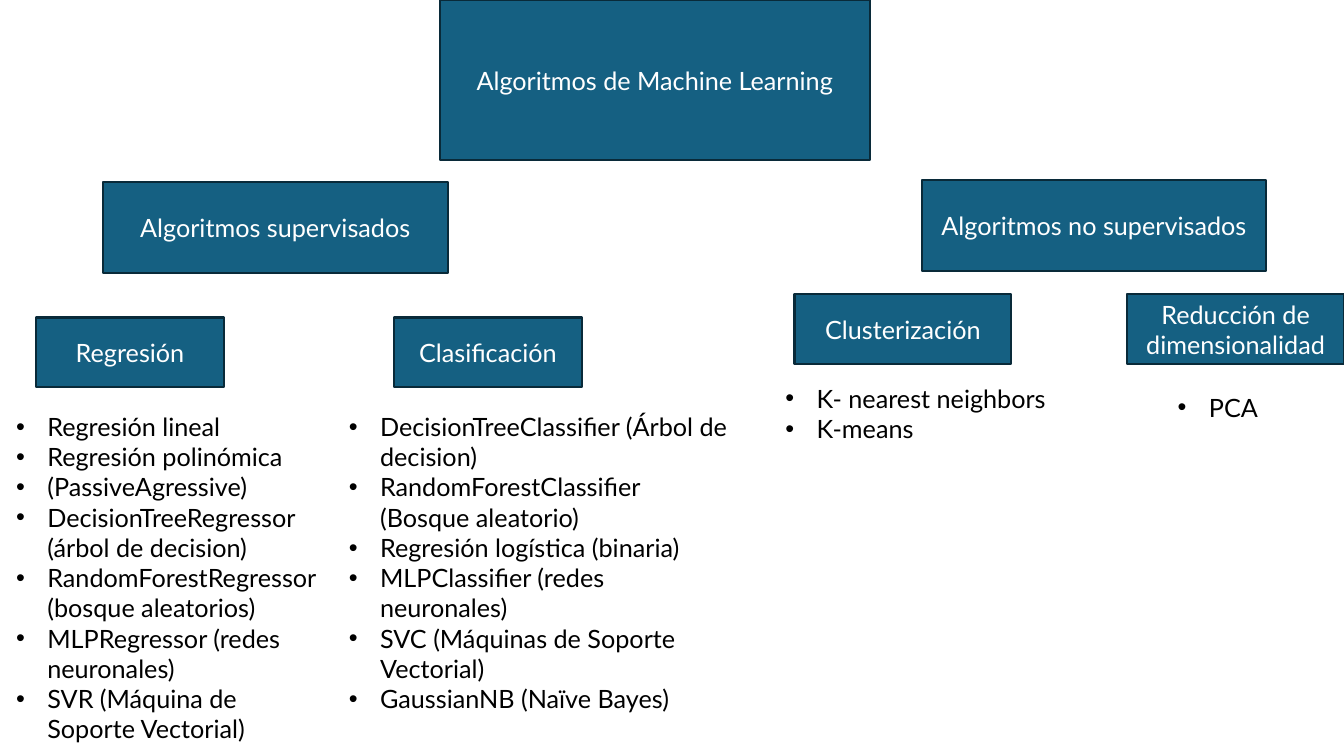
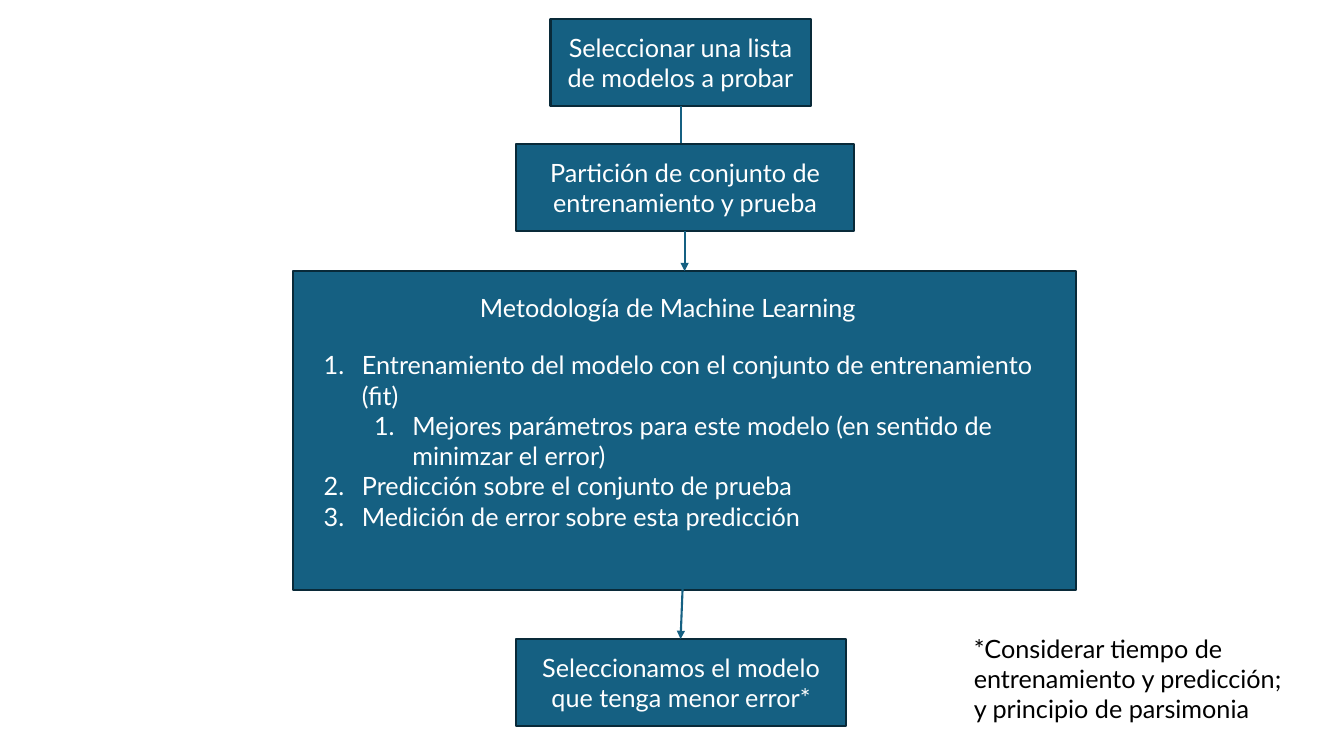
from lxml.etree import SubElement
from pptx import Presentation
from pptx.dml.color import RGBColor
from pptx.enum.shapes import MSO_CONNECTOR, MSO_SHAPE
from pptx.enum.text import MSO_ANCHOR, MSO_AUTO_SIZE, PP_ALIGN
from pptx.oxml.ns import qn
from pptx.util import Inches, Pt

TEAL = RGBColor(0x15, 0x60, 0x82)
DARK_TEAL = RGBColor(0x09, 0x2A, 0x39)
WHITE = RGBColor(0xFF, 0xFF, 0xFF)
BLACK = RGBColor(0x00, 0x00, 0x00)
FONT = "Lato"
TEXT_SIZE = Pt(18)
LINE_WIDTH = Pt(1.5)

TITLE_AND_CONTENT, COMPARISON = 1, 4

# Boxes are (left, top, width, height) in inches.
BRANCHES = [
    ("Algoritmos supervisados", (1.02, 1.81, 3.42, 0.9)),
    ("Algoritmos no supervisados", (9.14, 1.79, 3.42, 0.9)),
]
FAMILIES = [
    ("Regresión", (0.36, 3.15, 1.86, 0.69), (0.06, 4.03, 3.3, 3.43), [
        "Regresión lineal",
        "Regresión polinómica",
        "(PassiveAgressive)",
        "DecisionTreeRegressor (árbol de decision)",
        "RandomForestRegressor (bosque aleatorios)",
        "MLPRegressor (redes neuronales)",
        "SVR (Máquina de Soporte Vectorial)",
    ]),
    ("Clasificación", (3.91, 3.15, 1.86, 0.69), (3.36, 4.03, 4.04, 3.13), [
        "DecisionTreeClassifier (Árbol de decision)",
        "RandomForestClassifier (Bosque aleatorio)",
        "Regresión logística (binaria)",
        "MLPClassifier (redes neuronales)",
        "SVC (Máquinas de Soporte Vectorial)",
        "GaussianNB (Naïve Bayes)",
    ]),
    ("Clusterización", (7.88, 2.92, 2.15, 0.69), (7.69, 3.75, 2.97, 0.71), [
        "K- nearest neighbors",
        "K-means",
    ]),
    ("Reducción de dimensionalidad", (11.18, 2.92, 2.15, 0.69),
     (11.58, 3.84, 1.58, 0.4), ["PCA"]),
]
STEPS = [
    (0, "Entrenamiento del modelo con el conjunto de entrenamiento (fit)"),
    (1, "Mejores parámetros para este modelo (en sentido de minimzar el error)"),
    (0, "Predicción sobre el conjunto de prueba"),
    (0, "Medición de error sobre esta predicción"),
]


def place(shape, box):
    shape.left, shape.top, shape.width, shape.height = map(Inches, box)


def paint(shape):
    """Give a shape the teal fill and dark outline shared by all boxes."""
    shape.fill.solid()
    shape.fill.fore_color.rgb = TEAL
    shape.line.color.rgb = DARK_TEAL
    shape.line.width = LINE_WIDTH
    shape.shadow.inherit = False


def style_paragraph(para, color, align):
    para.alignment = align
    para.space_before = Pt(0)
    font = para.font
    font.name, font.size, font.bold = FONT, TEXT_SIZE, False
    font.color.rgb = color


def prepare_frame(shape, anchor):
    frame = shape.text_frame
    frame.word_wrap = True
    frame.auto_size = MSO_AUTO_SIZE.NONE
    frame.vertical_anchor = anchor
    return frame


def write_text(shape, text, color, align=PP_ALIGN.LEFT, anchor=MSO_ANCHOR.TOP):
    frame = prepare_frame(shape, anchor)
    frame.text = text
    style_paragraph(frame.paragraphs[0], color, align)


def add_marker(para, indent, hanging, numbered):
    props = para._p.get_or_add_pPr()
    props.set("marL", str(Inches(indent)))
    props.set("indent", str(-Inches(hanging)))
    typeface = "+mj-lt" if numbered else "Arial"
    SubElement(props, qn("a:buFont"), typeface=typeface)
    if numbered:
        SubElement(props, qn("a:buAutoNum"), type="arabicPeriod")
    else:
        SubElement(props, qn("a:buChar"), char="•")


def write_list(shape, items, color, hanging, numbered=False):
    """Fill a shape with (level, text) items, each level half an inch deeper."""
    frame = prepare_frame(shape, MSO_ANCHOR.TOP)
    for index, (level, text) in enumerate(items):
        para = frame.add_paragraph() if index else frame.paragraphs[0]
        para.text = text
        para.level = level
        add_marker(para, hanging + 0.5 * level, hanging, numbered)
        style_paragraph(para, color, PP_ALIGN.LEFT)


def write_node(shape, text):
    paint(shape)
    write_text(shape, text, WHITE, PP_ALIGN.CENTER, MSO_ANCHOR.MIDDLE)


def add_box(page, box):
    return page.shapes.add_shape(MSO_SHAPE.RECTANGLE, *map(Inches, box))


def add_node(page, text, box):
    write_node(add_box(page, box), text)


def add_arrow(page, start, end):
    arrow = page.shapes.add_connector(
        MSO_CONNECTOR.STRAIGHT, *map(Inches, start + end))
    arrow.line.color.rgb = TEAL
    arrow.line.width = LINE_WIDTH
    SubElement(arrow.line._get_or_add_ln(), qn("a:tailEnd"), type="triangle")
    SubElement(arrow._element.spPr, qn("a:effectLst"))


def add_methodology(page, box):
    """Draw the panel and bring the title and numbered steps in front of it."""
    left, top, width, height = box
    paint(add_box(page, box))
    title, steps = page.shapes.title, page.placeholders[1]
    place(title, (left + 1.75, top + 0.16, 5.21, 0.39))
    write_text(title, "Metodología de Machine Learning", WHITE)
    place(steps, (left + 0.2, top + 0.73, width - 0.4, 1.92))
    write_list(steps, STEPS, WHITE, 0.38, numbered=True)
    for shape in (title, steps):
        page.shapes.element.append(shape.element)


def build_algorithms_slide(deck):
    page = deck.slides.add_slide(deck.slide_layouts[COMPARISON])
    title = page.shapes.title
    place(title, (4.36, 0, 4.27, 1.59))
    write_node(title, "Algoritmos de Machine Learning")
    for text, box in BRANCHES:
        add_node(page, text, box)
    for number, (name, name_box, list_box, items) in enumerate(FAMILIES, 1):
        add_node(page, name, name_box)
        body = page.placeholders[number]
        place(body, list_box)
        write_list(body, [(0, item) for item in items], BLACK, 0.31)


def build_workflow_slide(deck):
    page = deck.slides.add_slide(deck.slide_layouts[TITLE_AND_CONTENT])
    add_node(page, "Seleccionar una lista de modelos a probar",
             (5.46, 0.19, 2.58, 0.86))
    add_methodology(page, (2.91, 2.69, 7.76, 3.16))
    add_arrow(page, (6.75, 1.05), (6.75, 1.56))
    add_node(page, "Seleccionamos el modelo que tenga menor error*",
             (5.12, 6.34, 3.27, 0.86))
    add_arrow(page, (6.79, 5.34), (6.75, 6.34))
    add_node(page, "Partición de conjunto de entrenamiento y prueba",
             (5.12, 1.43, 3.35, 0.86))
    add_arrow(page, (6.79, 2.29), (6.79, 2.69))
    note = page.shapes.add_textbox(*map(Inches, (9.56, 6.23, 3.42, 1.01)))
    write_text(note, "*Considerar tiempo de entrenamiento y predicción; "
               "y principio de parsimonia", BLACK)


def main():
    deck = Presentation()
    deck.slide_width, deck.slide_height = Inches(13.33), Inches(7.5)
    build_algorithms_slide(deck)
    build_workflow_slide(deck)
    deck.save("out.pptx")


if __name__ == "__main__":
    main()
